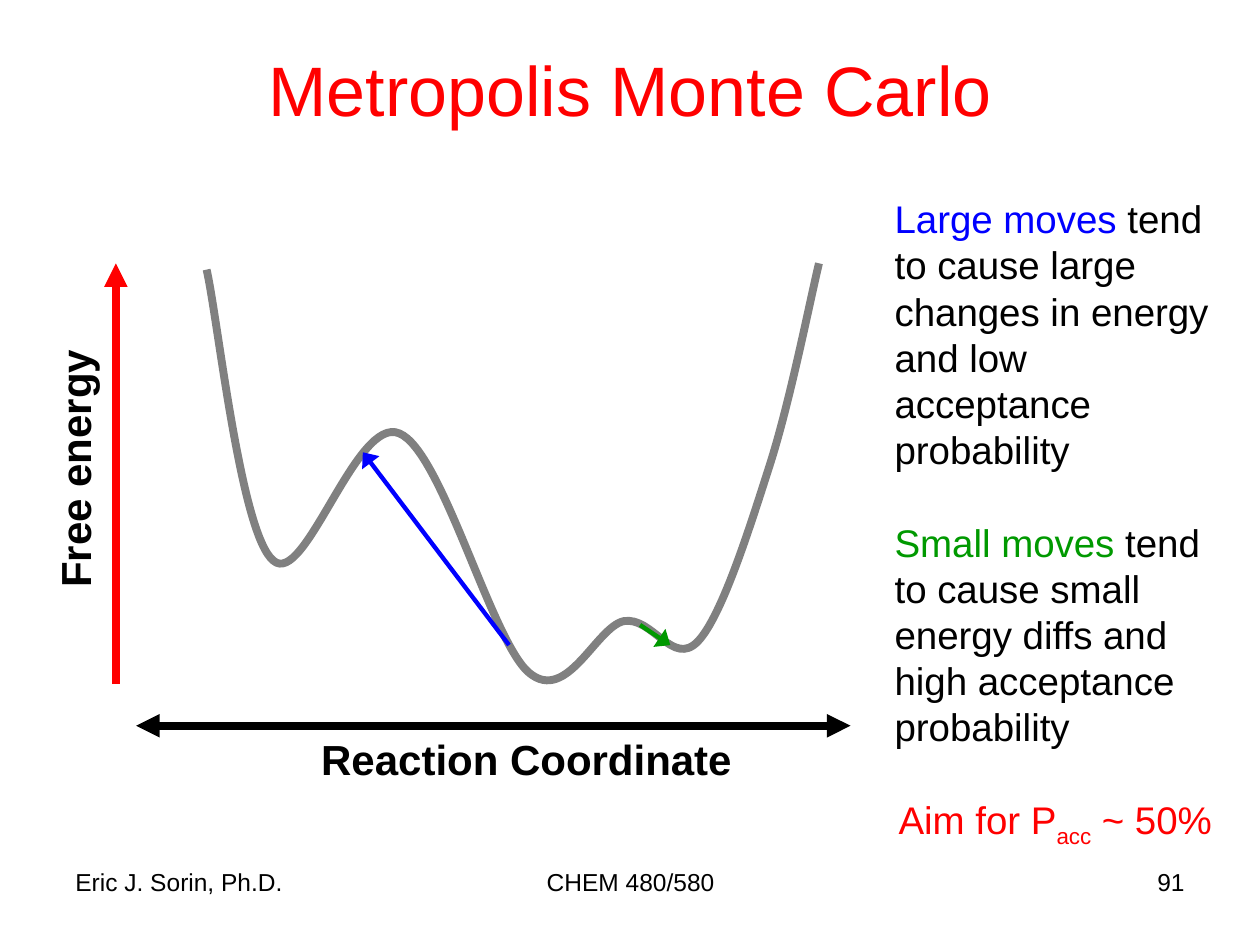
from dataclasses import dataclass

from lxml import etree
from pptx import Presentation
from pptx.dml.color import RGBColor
from pptx.enum.shapes import MSO_CONNECTOR
from pptx.enum.text import MSO_ANCHOR, MSO_AUTO_SIZE, PP_ALIGN
from pptx.oxml.ns import qn
from pptx.util import Inches, Pt

STRAIGHT = MSO_CONNECTOR.STRAIGHT
LEFT, CENTER, RIGHT = PP_ALIGN.LEFT, PP_ALIGN.CENTER, PP_ALIGN.RIGHT
TOP, MIDDLE = MSO_ANCHOR.TOP, MSO_ANCHOR.MIDDLE


@dataclass(frozen=True)
class Theme:
    font: str = "Arial"
    black: RGBColor = RGBColor(0x00, 0x00, 0x00)
    red: RGBColor = RGBColor(0xFF, 0x00, 0x00)
    blue: RGBColor = RGBColor(0x00, 0x00, 0xFF)
    green: RGBColor = RGBColor(0x00, 0x99, 0x00)
    gray: RGBColor = RGBColor(0x80, 0x80, 0x80)
    title: int = 40
    axis: int = 24
    body: int = 22
    footer: int = 14
    line_pitch: float = 26.4
    heavy: float = 4.5
    move: float = 2.5


THEME = Theme()

# Energy profile in inches: start, then control, control, end per segment
CURVE_START = (1.64, 2.14)
CURVE_POINTS = [
    (1.73, 2.53), (1.91, 4.24), (2.17, 4.45),
    (2.42, 4.67), (2.83, 3.29), (3.17, 3.44),
    (3.51, 3.58), (3.9, 5.09), (4.2, 5.34),
    (4.5, 5.59), (4.73, 4.98), (4.95, 4.93),
    (5.18, 4.89), (5.34, 5.3), (5.54, 5.09),
    (5.73, 4.89), (5.95, 4.19), (6.11, 3.69),
    (6.27, 3.19), (6.42, 2.43), (6.5, 2.09),
]


def place(box, left, top, width, height):
    box.left, box.top = Inches(left), Inches(top)
    box.width, box.height = Inches(width), Inches(height)


def style_paragraph(para, size, color, align=LEFT, bold=False):
    para.alignment = align
    font = para.font
    font.name, font.size, font.bold = THEME.font, Pt(size), bold
    font.color.rgb = color


def add_label(page, text, frame, size, align=LEFT, bold=False, rotation=0):
    box = page.shapes.add_textbox(*map(Inches, frame))
    box.rotation = rotation
    box.text_frame.word_wrap = True
    para = box.text_frame.paragraphs[0]
    para.text = text
    style_paragraph(para, size, THEME.black, align, bold)


def add_arrow(page, start, end, color, width, both_ends=False, head_width="med"):
    arrow = page.shapes.add_connector(STRAIGHT, *map(Inches, start + end))
    arrow.line.color.rgb = color
    arrow.line.width = Pt(width)
    outline = arrow.line._get_or_add_ln()
    for tag in ("a:headEnd", "a:tailEnd") if both_ends else ("a:tailEnd",):
        etree.SubElement(outline, qn(tag), type="triangle", w=head_width, len="med")
    etree.SubElement(arrow._element.spPr, qn("a:effectLst"))


def add_energy_curve(page):
    builder = page.shapes.build_freeform(*map(Inches, CURVE_START))
    builder.add_line_segments([tuple(map(Inches, point)) for point in CURVE_POINTS],
                              close=False)
    curve = builder.convert_to_shape()
    # Turn every three straight steps into one Bézier segment
    steps = list(curve._element.iter(qn("a:lnTo")))
    outline = steps[0].getparent()
    for first in range(0, len(steps), 3):
        segment = etree.SubElement(outline, qn("a:cubicBezTo"))
        for step in steps[first:first + 3]:
            segment.append(step[0])
            outline.remove(step)
    curve.shadow.inherit = False
    curve.fill.background()
    curve.line.color.rgb = THEME.gray
    curve.line.width = Pt(THEME.heavy)


def fill_title(page):
    title = page.shapes.title
    place(title, 0.5, 0.08, 9, 1.25)
    title.text_frame.vertical_anchor = MIDDLE
    para = title.text_frame.paragraphs[0]
    para.text = "Metropolis Monte Carlo"
    style_paragraph(para, THEME.title, THEME.red, CENTER)


def add_body_paragraph(para, spans, color, align=LEFT, gap=0):
    """Each span is (text, colour or None, baseline shift or None)."""
    properties = para._p.get_or_add_pPr()
    properties.set("marL", "0")
    properties.set("indent", "0")
    etree.SubElement(properties, qn("a:buNone"))
    style_paragraph(para, THEME.body, color, align)
    para.line_spacing = Pt(THEME.line_pitch)
    para.space_before, para.space_after = Pt(gap), Pt(0)
    for text, span_color, baseline in spans:
        span = para.add_run()
        span.text = text
        if span_color is not None:
            span.font.color.rgb = span_color
        if baseline is not None:
            span._r.get_or_add_rPr().set("baseline", baseline)


def fill_body(page):
    body = page.placeholders[1]
    place(body, 7, 1.5, 2.75, 5.65)
    frame = body.text_frame
    frame.word_wrap, frame.auto_size = True, MSO_AUTO_SIZE.NONE
    frame.vertical_anchor = TOP
    add_body_paragraph(frame.paragraphs[0], [
        ("Large moves", THEME.blue, None),
        (" tend to cause large changes in energy and low acceptance probability",
         None, None)], THEME.black)
    add_body_paragraph(frame.add_paragraph(), [
        ("Small moves", THEME.green, None),
        (" tend to cause small energy diffs and high acceptance probability",
         None, None)], THEME.black, gap=THEME.line_pitch)
    # The subscript lifts its line, so this gap is a little larger
    add_body_paragraph(frame.add_paragraph(), [
        ("Aim for P", None, None), ("acc", None, "-25000"), (" ~ 50%", None, None)],
        THEME.red, CENTER, THEME.line_pitch + 4)


def main():
    deck = Presentation()
    deck.slide_width, deck.slide_height = Inches(10), Inches(7.5)
    page = deck.slides.add_slide(deck.slide_layouts[1])

    # Footer
    for text, left, width, align in (("Eric J. Sorin, Ph.D.", 0.5, 2.33, LEFT),
                                     ("CHEM 480/580", 3.42, 3.17, CENTER),
                                     ("91", 7.17, 2.33, RIGHT)):
        add_label(page, text, (left, 6.83, width, 0.52), THEME.footer, align)

    # Energy profile and its axes
    add_energy_curve(page)
    add_arrow(page, (0.92, 5.43), (0.92, 2.09), THEME.red, THEME.heavy)
    add_label(page, "Free energy", (-0.62, 3.47, 2.42, 0.5), THEME.axis,
              CENTER, bold=True, rotation=270)
    add_arrow(page, (1.08, 5.76), (6.75, 5.76), THEME.black, THEME.heavy,
              both_ends=True)
    add_label(page, "Reaction Coordinate", (2.45, 5.77, 3.71, 0.5), THEME.axis,
              bold=True)

    # Large and small moves
    for start, end, color in (((4.04, 5.12), (2.88, 3.59), THEME.blue),
                              ((5.08, 4.96), (5.32, 5.12), THEME.green)):
        add_arrow(page, start, end, color, THEME.move, head_width="lg")

    # Title and explanation
    fill_title(page)
    fill_body(page)
    deck.save("out.pptx")


if __name__ == "__main__":
    main()
